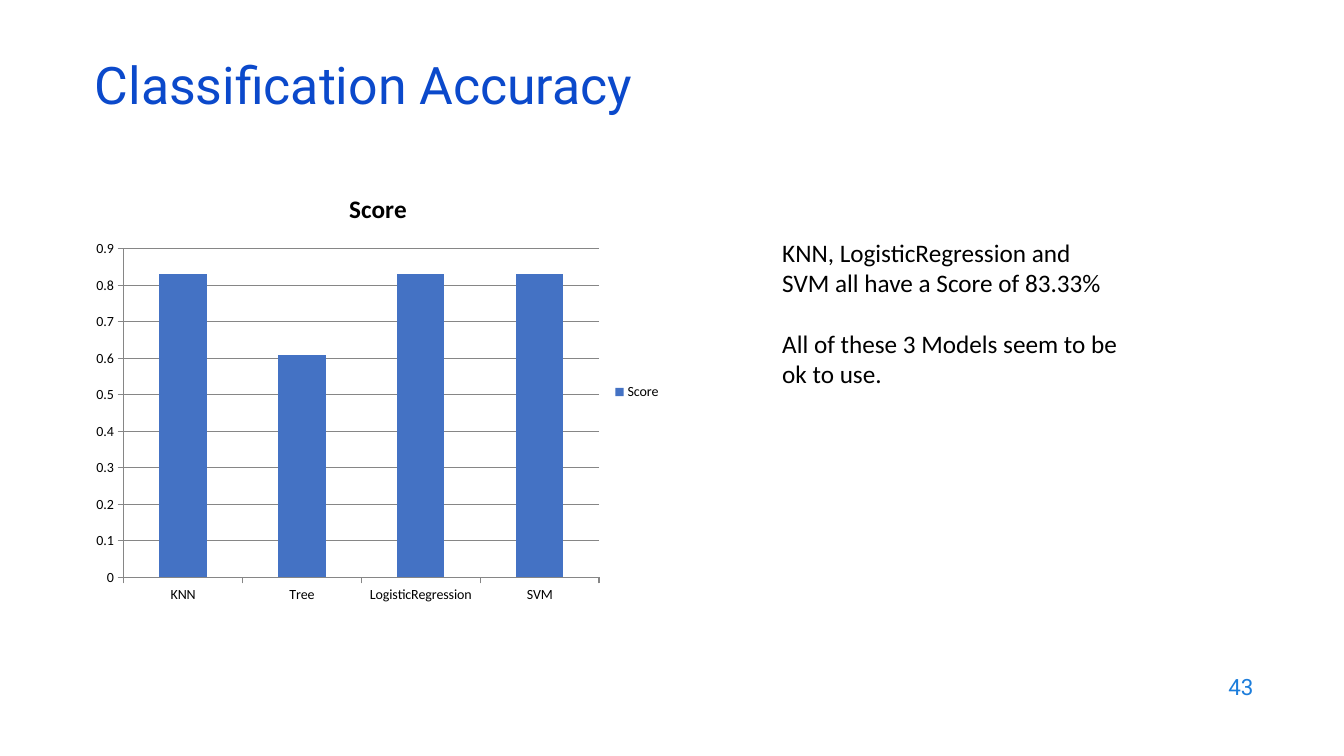
import pptx
import pptx.chart.data
import pptx.dml.color
import pptx.enum.chart
import pptx.enum.text
import pptx.util

Inches, Pt = pptx.util.Inches, pptx.util.Pt

# Content
TITLE = "Classification Accuracy"
PAGE_NUMBER = "43"
SERIES_NAME = "Score"
SCORES = {"KNN": 0.83, "Tree": 0.61, "LogisticRegression": 0.83, "SVM": 0.83}
FINDINGS = [
    "KNN, LogisticRegression and SVM all have a Score of 83.33%",
    "All of these 3 Models seem to be ok to use.",
]

# Style
BLACK, TITLE_BLUE, NUMBER_BLUE = "000000", "0B49CB", "1C7DDB"
BAR_BLUE, GRID_GRAY = "4472C4", "868686"


def color(hex_string):
    return pptx.dml.color.RGBColor.from_string(hex_string)


def style_font(font, name, size, hex_string, bold=False):
    font.name, font.size, font.bold = name, Pt(size), bold
    font.color.rgb = color(hex_string)


def inches(*lengths):
    return [Inches(length) for length in lengths]


def add_text(slide, box, paragraphs, name, size, hex_string):
    frame = slide.shapes.add_textbox(*inches(*box)).text_frame
    frame.word_wrap = True
    frame.text = "\n".join(paragraphs)
    for paragraph in frame.paragraphs:
        style_font(paragraph.font, name, size, hex_string)
    return frame


presentation = pptx.Presentation()
presentation.slide_width, presentation.slide_height = inches(13.33, 7.5)
slide = presentation.slides.add_slide(presentation.slide_layouts[5])

# Title
title = slide.shapes.title
title.left, title.top, title.width, title.height = inches(0.84, 0.59, 11.5, 0.6)
title.text_frame.text = TITLE
title.text_frame.vertical_anchor = pptx.enum.text.MSO_ANCHOR.MIDDLE
heading = title.text_frame.paragraphs[0]
heading.alignment = pptx.enum.text.PP_ALIGN.LEFT
heading.line_spacing = 0.8
style_font(heading.font, "Roboto", 37, TITLE_BLUE)

# Score chart
chart_data = pptx.chart.data.CategoryChartData()
chart_data.categories = list(SCORES)
chart_data.add_series(SERIES_NAME, list(SCORES.values()))
chart = slide.shapes.add_chart(
    pptx.enum.chart.XL_CHART_TYPE.COLUMN_CLUSTERED,
    *inches(0.84, 1.71, 5.82, 4.36), chart_data).chart
style_font(chart.font, "Calibri", 10, BLACK)

chart.has_title = True
chart.chart_title.text_frame.text = SERIES_NAME
chart_heading = chart.chart_title.text_frame.paragraphs[0]
style_font(chart_heading.font, "Calibri", 18, BLACK, bold=True)

chart.has_legend = True
chart.legend.position = pptx.enum.chart.XL_LEGEND_POSITION.RIGHT
chart.legend.include_in_layout = False

plot = chart.plots[0]
plot.gap_width = 150
plot.vary_by_categories = False
bars = plot.series[0].format.fill
bars.solid()
bars.fore_color.rgb = color(BAR_BLUE)

chart.value_axis.minimum_scale = 0
chart.value_axis.maximum_scale = 0.9
chart.value_axis.major_unit = 0.1
chart.value_axis.has_major_gridlines = True
gridlines = chart.value_axis.major_gridlines
for part in (chart.category_axis, chart.value_axis, gridlines):
    part.format.line.color.rgb = color(GRID_GRAY)
    part.format.line.width = Pt(0.75)
for axis in (chart.category_axis, chart.value_axis):
    axis.major_tick_mark = pptx.enum.chart.XL_TICK_MARK.OUTSIDE

# Findings, one line apart
findings = add_text(slide, (7.66, 2.3, 3.52, 1.62), FINDINGS, "Calibri", 18, BLACK)
for paragraph in findings.paragraphs[1:]:
    paragraph.space_before = Pt(22)

# Page number
number = add_text(slide, (9.53, 6.59, 3, 0.44), [PAGE_NUMBER], "Roboto", 16, NUMBER_BLUE)
number.vertical_anchor = pptx.enum.text.MSO_ANCHOR.MIDDLE
number.paragraphs[0].alignment = pptx.enum.text.PP_ALIGN.RIGHT

presentation.save("out.pptx")
